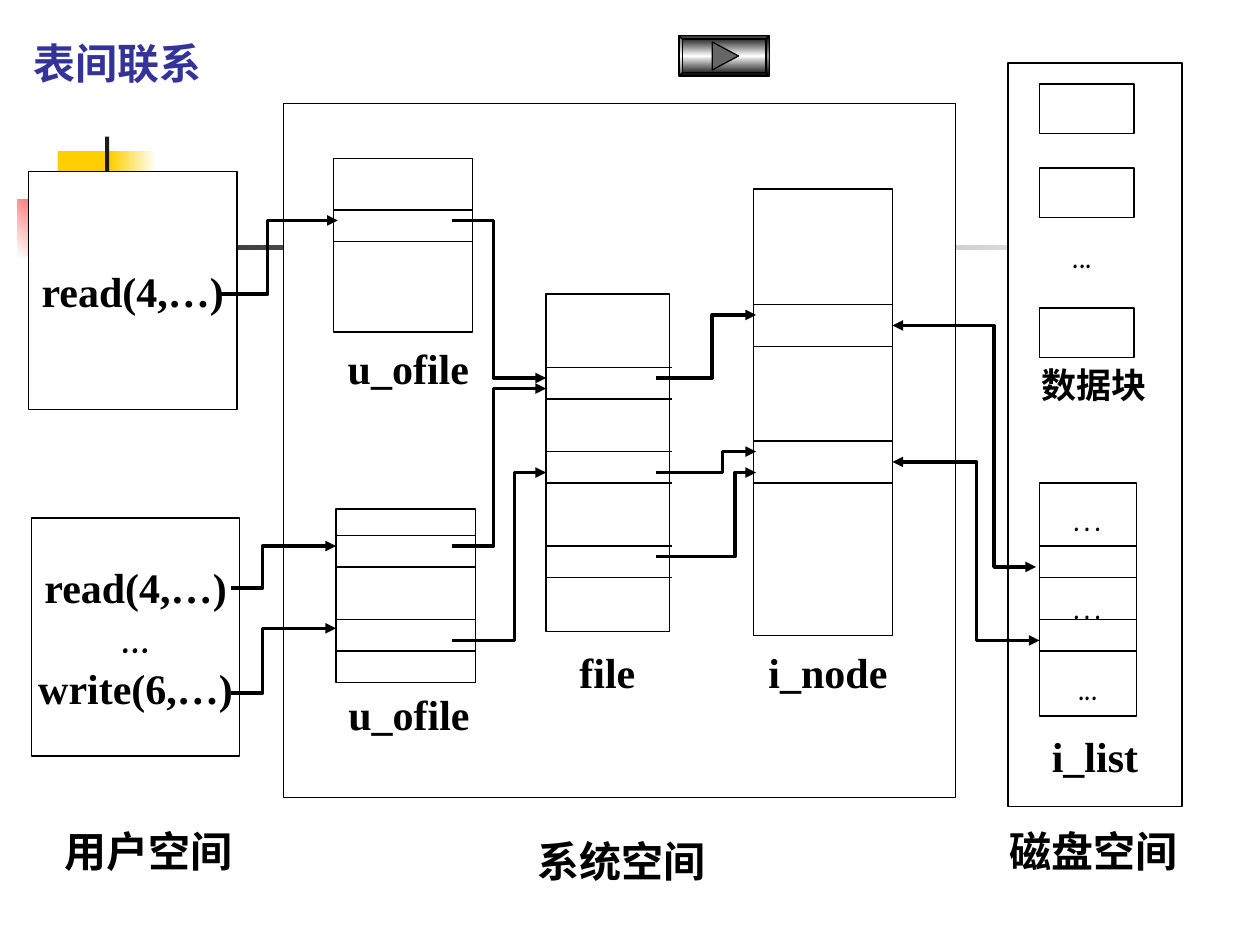
"""Build a slide on how user, system and disk tables link to each other."""
import copy
import dataclasses

import pptx
import pptx.dml.color
import pptx.enum.shapes
import pptx.enum.text
import pptx.oxml.ns
import pptx.util
from lxml import etree

Pt = pptx.util.Pt
qn = pptx.oxml.ns.qn
RGB = pptx.dml.color.RGBColor.from_string
ShapeType = pptx.enum.shapes.MSO_SHAPE
Anchor = pptx.enum.text.MSO_ANCHOR
Align = pptx.enum.text.PP_ALIGN


@dataclasses.dataclass(frozen=True)
class Theme:
    ink: str = "000000"
    paper: str = "FFFFFF"
    title: str = "333399"
    yellow: str = "FFCF01"
    red: str = "FF0000"
    charcoal: str = "1C1C1C"
    shine: str = "FEFEFE"
    symbol: str = "666666"
    serif: str = "Times New Roman"
    casual: str = "Comic Neue"
    large: int = 24
    small: int = 20
    thin: float = 0.75
    thick: float = 2


theme = Theme()


def add_box(left, top, width, height, kind=ShapeType.RECTANGLE):
    shape = slide.shapes.add_shape(kind, Pt(left), Pt(top), Pt(width), Pt(height))
    shape.shadow.inherit = False
    shape.fill.solid()
    shape.fill.fore_color.rgb = RGB(theme.paper)
    shape.line.color.rgb = RGB(theme.ink)
    shape.line.width = Pt(theme.thin)
    return shape


def write_text(shape, lines, wrap, anchor, align, color=theme.ink):
    frame = shape.text_frame
    frame.word_wrap = wrap
    frame.vertical_anchor = anchor
    for index, (text, font, size, bold, space) in enumerate(lines):
        paragraph = frame.add_paragraph() if index else frame.paragraphs[0]
        paragraph.alignment = align
        paragraph.space_before = Pt(space)
        run = paragraph.add_run()
        run.text = text
        run.font.name = font
        run.font.size = Pt(size)
        run.font.bold = bold
        run.font.color.rgb = RGB(color)


presentation = pptx.Presentation()
presentation.slide_width = Pt(720)
presentation.slide_height = Pt(540)
slide = presentation.slides.add_slide(presentation.slide_layouts[5])

title = slide.shapes.title
title.left, title.top, title.width, title.height = Pt(12), Pt(18), Pt(138), Pt(36)
title.text_frame.auto_size = pptx.enum.text.MSO_AUTO_SIZE.NONE
write_text(title, [("表间联系", theme.serif, theme.large, True, 0)],
           True, Anchor.TOP, Align.LEFT, theme.title)

decorations = [
    ((33, 86.4, 34.5, 37.4), [theme.yellow], 0),
    ((63.4, 86.4, 26, 37.4), [theme.paper, theme.yellow], 180),
    ((10, 113.8, 44, 33), [theme.red, theme.paper], 225),
    ((60, 78, 2.4, 82.8), [theme.charcoal], 0),
    ((34.5, 140.2, 648, 2.4), [theme.paper, theme.charcoal], 180),
    ((388, 20.4, 51.5, 23), [theme.ink, theme.shine, theme.ink], 270),
]
for box, colors, angle in decorations:
    shape = add_box(*box)
    if len(colors) == 1:
        shape.fill.fore_color.rgb = RGB(colors[0])
    else:
        shape.fill.gradient()
        shape.fill.gradient_angle = angle
        stop_list = shape._element.spPr.find(".//" + qn("a:gsLst"))
        for extra in colors[2:]:
            stop_list.append(copy.deepcopy(stop_list[0]))
        for index, (stop, color) in enumerate(zip(shape.fill.gradient_stops, colors)):
            stop.position = index / (len(colors) - 1)
            stop.color.rgb = RGB(color)
    if len(colors) < 3:
        shape.line.fill.background()
    else:
        shape.auto_shape_type
        shape._element.spPr.prstGeom.set("prst", "bevel")
        shape.adjustments[0] = 0.08

builder = slide.shapes.build_freeform(407, 24.5, scale=Pt(1))
builder.add_line_segments([(421.5, 32), (407, 39.5)], close=True)
play_symbol = builder.convert_to_shape()
play_symbol.shadow.inherit = False
play_symbol.fill.solid()
play_symbol.fill.fore_color.rgb = RGB(theme.symbol)
play_symbol.line.color.rgb = RGB(theme.ink)
play_symbol.line.width = Pt(theme.thin)

system_space = add_box(162, 59, 384, 396.7)
disk_space = add_box(576, 36, 99.4, 425)

read_line = ("read(4,…)", theme.serif, theme.large, True, 0)
processes = [
    (16.4, 98, [read_line]),
    (18, 296, [read_line, ("…", theme.casual, theme.large, True, 0),
               ("write(6,…)", theme.serif, theme.large, True, 0)]),
]
for left, top, lines in processes:
    write_text(add_box(left, top, 119, 136), lines, False, Anchor.MIDDLE, Align.CENTER)

for top in (48, 96, 176):
    add_box(594, top, 54, 28.2)

index_lines = [("…", theme.casual, theme.large, False, 0),
               ("…", theme.casual, theme.large, False, 21),
               ("...", theme.casual, theme.large, False, 18)]
tables = [
    ((190.6, 90.4, 79.6, 99.4), 79.6, [120, 138], []),
    ((192, 290.8, 79.6, 99.4), 79.6, [306, 324, 354, 372], []),
    ((312, 168, 70.8, 193), 72, [210, 228, 258, 276, 312, 330], []),
    ((430.6, 108, 79.6, 255), 79.6, [174, 198, 252, 276], []),
    ((594, 276, 55.4, 133.2), 55.4, [312, 330, 354, 372], index_lines),
]
for box, row_width, dividers, lines in tables:
    write_text(add_box(*box), lines, False, Anchor.MIDDLE, Align.CENTER)
    for y in dividers:
        divider = slide.shapes.add_connector(
            pptx.enum.shapes.MSO_CONNECTOR.STRAIGHT,
            Pt(box[0]), Pt(y), Pt(box[0] + row_width), Pt(y))
        divider.line.color.rgb = RGB(theme.ink)
        divider.line.width = Pt(theme.thin)
        etree.SubElement(divider._element.spPr, qn("a:effectLst"))

labels = [
    ("用户空间", 30, 468, 120, theme.serif, theme.large, True),
    ("系统空间", 300, 474, 126, theme.serif, theme.large, True),
    ("磁盘空间", 570, 468, 114, theme.serif, theme.large, True),
    ("u_ofile", 191.6, 192, 90.8, theme.serif, theme.large, True),
    ("u_ofile", 192, 390, 84, theme.serif, theme.large, True),
    ("file", 324, 366, 60, theme.serif, theme.large, True),
    ("i_node", 432, 366, 90, theme.serif, theme.large, True),
    ("i_list", 594, 414, 72, theme.serif, theme.large, True),
    ("数据块", 588, 204, 90, theme.serif, theme.small, True),
    ("...", 606, 126, 36, theme.casual, theme.large, False),
]
for text, left, top, width, font, size, bold in labels:
    label = slide.shapes.add_textbox(Pt(left), Pt(top), Pt(width), Pt(36))
    write_text(label, [(text, font, size, bold, 0)], True, Anchor.TOP, Align.LEFT)

links = [
    (126, 168, 152.6, 193, 126, False),
    (132, 336, 150, 192, 312, False),
    (132, 396, 150, 192, 359.3, False),
    (258, 126, 282, 312, 216, False),
    (258, 312, 282, 312, 222, False),
    (258, 366, 294, 312, 270, False),
    (375, 216, 407, 432, 180, False),
    (375, 270, 413.3, 432, 258, False),
    (375, 318, 419.8, 432, 270, False),
    (510, 186, 568, 592, 324, True),
    (510, 264, 558, 594, 366, True),
]
for start_x, start_y, turn_x, end_x, end_y, two_way in links:
    builder = slide.shapes.build_freeform(start_x, start_y, scale=Pt(1))
    builder.add_line_segments([(turn_x, start_y), (turn_x, end_y), (end_x, end_y)], close=False)
    link = builder.convert_to_shape()
    link.shadow.inherit = False
    link.fill.background()
    link.line.color.rgb = RGB(theme.ink)
    link.line.width = Pt(theme.thick)
    outline = link._element.spPr.find(qn("a:ln"))
    for end in ("a:headEnd", "a:tailEnd") if two_way else ("a:tailEnd",):
        etree.SubElement(outline, qn(end), type="triangle")

presentation.save("out.pptx")
